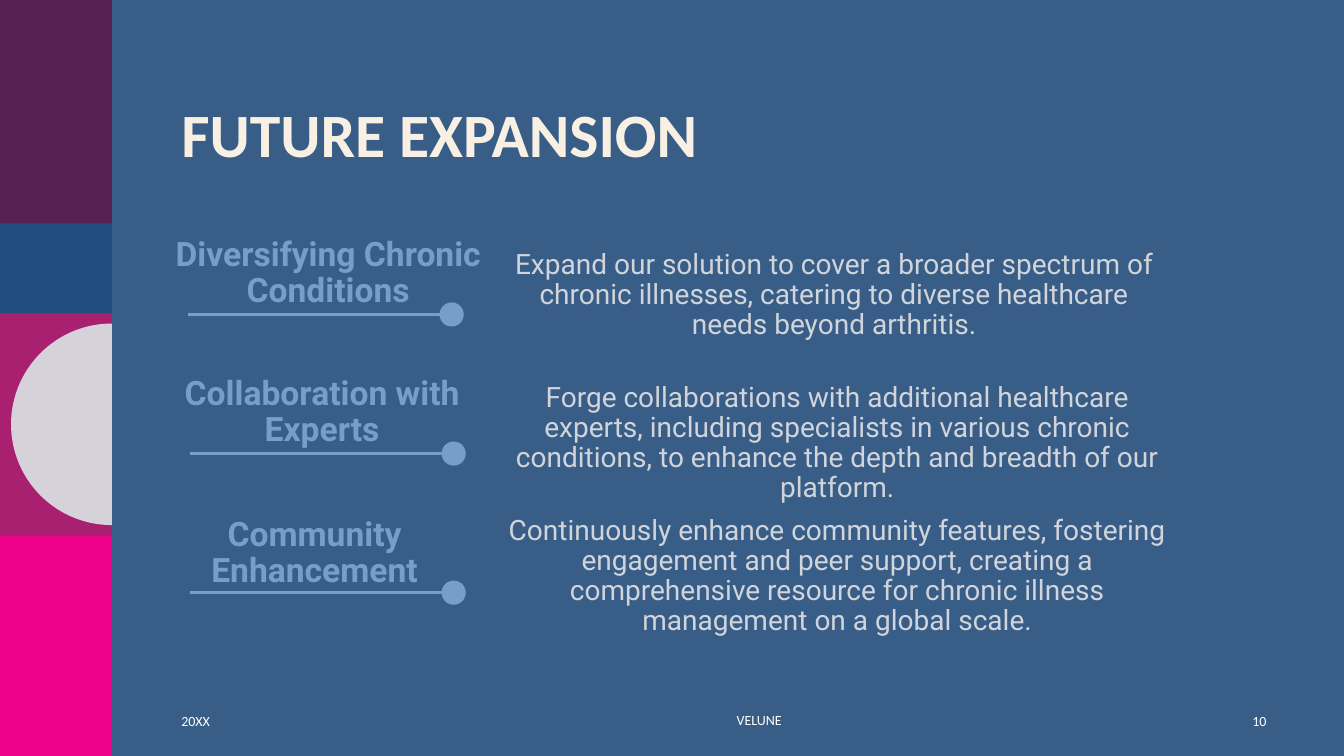
import math

import pptx
import pptx.dml.color
import pptx.enum.shapes
import pptx.enum.text
import pptx.oxml.ns
import pptx.util
from lxml import etree

Inches = pptx.util.Inches
Align = pptx.enum.text.PP_ALIGN
Anchor = pptx.enum.text.MSO_ANCHOR
Preset = pptx.enum.shapes.MSO_SHAPE

BACKGROUND, ACCENT, CREAM = "385E88", "789EC7", "F8F0E3"
PALE, WHITE, DISC = "D1D5DB", "FFFFFF", "D5D2DA"

# Top, height and colour of each band, from back to front
BANDS = [
    (5.28, 2.22, "EC008C"),
    (3.1, 2.22, "AA2070"),
    (0, 2.22, "582156"),
    (2.22, 0.89, "224E7F"),
]

# Heading, heading box, detail, detail left, rule left
PLANS = [
    ("Diversifying Chronic Conditions", (1.51, 2.16, 3.49, 1.11),
     "Expand our solution to cover a broader spectrum of chronic illnesses, "
     "catering to diverse healthcare needs beyond arthritis.", 4.91, 1.86),
    ("Collaboration with Experts", (1.45, 3.54, 3.49, 1.11),
     "Forge collaborations with additional healthcare experts, including "
     "specialists in various chronic conditions, to enhance the depth and "
     "breadth of our platform.", 4.94, 1.88),
    ("Community Enhancement", (1.45, 4.94, 3.34, 1.11),
     "Continuously enhance community features, fostering engagement and peer "
     "support, creating a comprehensive resource for chronic illness "
     "management on a global scale.", 4.94, 1.88),
]

FOOTER = [
    ("20XX", (1.7, 6.95, 1.2, 0.4), Align.LEFT),
    ("VELUNE", (6.28, 6.94, 2.5, 0.4), Align.CENTER),
    ("10", (12.16, 6.95, 0.5, 0.4), Align.RIGHT),
]


def rgb(value):
    return pptx.dml.color.RGBColor.from_string(value)


def paint(shape, color):
    shape.shadow.inherit = False
    shape.fill.solid()
    shape.fill.fore_color.rgb = rgb(color)
    shape.line.fill.background()


def write(holder, text, size, color, font="Calibri", bold=False,
          align=Align.LEFT, anchor=Anchor.TOP, spacing=1.0):
    frame = holder.text_frame
    frame.word_wrap = True
    frame.auto_size = pptx.enum.text.MSO_AUTO_SIZE.NONE
    frame.vertical_anchor = anchor
    paragraph = frame.paragraphs[0]
    paragraph.alignment = align
    paragraph.line_spacing = spacing
    run = paragraph.add_run()
    run.text = text
    run.font.size = pptx.util.Pt(size)
    run.font.name = font
    run.font.bold = bold
    run.font.color.rgb = rgb(color)


def text_box(slide, box):
    return slide.shapes.add_textbox(*map(Inches, box))


def add_side_strip(slide, left, width):
    # Colour bands
    for top, height, color in BANDS:
        band = slide.shapes.add_shape(
            Preset.RECTANGLE, *map(Inches, (left, top, width, height)))
        paint(band, color)

    # Half disc against the right edge of the strip
    center_x, center_y, radius = left + width, 4.21, 1
    arc = [(Inches(center_x + radius * math.cos(math.radians(angle))),
            Inches(center_y + radius * math.sin(math.radians(angle))))
           for angle in range(90, 271, 3)]
    builder = slide.shapes.build_freeform(*arc[0])
    builder.add_line_segments(arc[1:], close=True)
    paint(builder.convert_to_shape(), DISC)


def add_title(slide, box):
    title = slide.shapes.title
    title.left, title.top, title.width, title.height = map(Inches, box)
    write(title, "FUTURE EXPANSION", 44, CREAM, bold=True, spacing=0.9)


def add_rule(slide, left, y):
    # Line ending in a dot
    length, diameter = 2.54, 0.24
    rule = slide.shapes.add_connector(
        pptx.enum.shapes.MSO_CONNECTOR.STRAIGHT,
        *map(Inches, (left, y, left + length, y)))
    rule.line.color.rgb = rgb(ACCENT)
    rule.line.width = pptx.util.Pt(2)
    properties = rule.element.find(pptx.oxml.ns.qn("p:spPr"))
    etree.SubElement(properties, pptx.oxml.ns.qn("a:effectLst"))
    dot = slide.shapes.add_shape(
        Preset.OVAL, Inches(left + length - 0.04), Inches(y - diameter / 2),
        Inches(diameter), Inches(diameter))
    paint(dot, ACCENT)


def add_plans(slide, detail_top, rule_top):
    for row, (heading, box, detail, detail_left, rule_left) in enumerate(PLANS):
        write(text_box(slide, box), heading, 24, ACCENT, "Roboto", True,
              Align.CENTER, Anchor.MIDDLE, 0.9)
        detail_box = (detail_left, detail_top + 1.32 * row, 6.73, 1.03)
        write(text_box(slide, detail_box), detail, 20, PALE, "Roboto",
              align=Align.CENTER, spacing=0.9)
        add_rule(slide, rule_left, rule_top + 1.38 * row)


def add_footer(slide):
    for text, box, align in FOOTER:
        write(text_box(slide, box), text, 10, WHITE,
              align=align, anchor=Anchor.MIDDLE)


def main():
    deck = pptx.Presentation()
    deck.slide_width, deck.slide_height = Inches(13.33), Inches(7.5)
    slide = deck.slides.add_slide(deck.slide_layouts.get_by_name("Title Only"))
    slide.background.fill.solid()
    slide.background.fill.fore_color.rgb = rgb(BACKGROUND)
    add_side_strip(slide, 0, 1.11)
    add_title(slide, (1.7, 0.98, 11.14, 1.45))
    add_plans(slide, 2.43, 3.12)
    add_footer(slide)
    deck.save("out.pptx")


if __name__ == "__main__":
    main()
